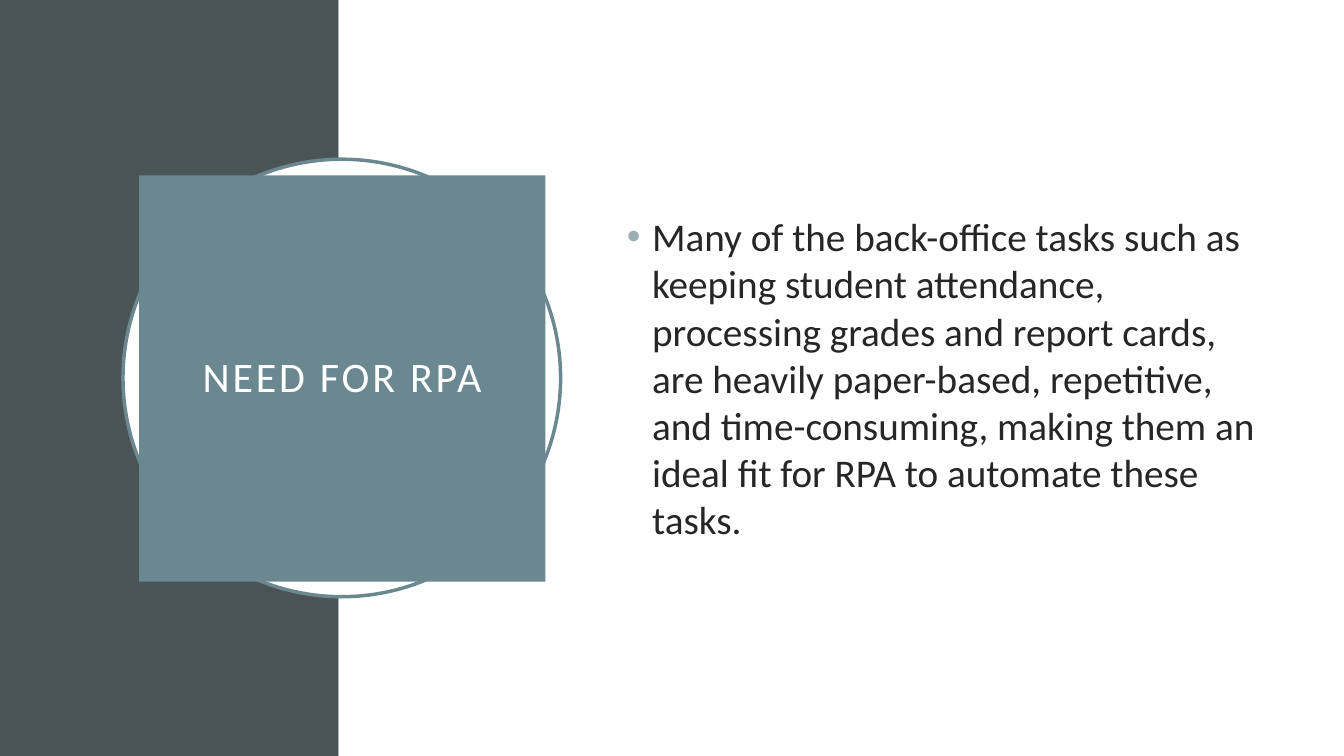
from dataclasses import dataclass

from lxml.etree import SubElement
from pptx import Presentation
from pptx.dml.color import RGBColor
from pptx.enum.shapes import MSO_SHAPE
from pptx.enum.text import MSO_ANCHOR, PP_ALIGN
from pptx.oxml.ns import qn
from pptx.util import Inches, Pt


@dataclass(frozen=True)
class Theme:
    """Colours, font and type sizes of the slide."""
    slate: str = "4A5356"
    teal: str = "6B8891"
    white: str = "FFFFFF"
    ink: str = "262626"
    bullet: str = "9BAFB5"
    font: str = "Calibri"
    title_size: int = 30
    body_size: int = 28


THEME = Theme()
TITLE = "NEED FOR RPA"
REASON = (
    "Many of the back-office tasks such as keeping student attendance, "
    "processing grades and report cards, are heavily paper-based, repetitive, "
    "and time-consuming, making them an ideal fit for RPA to automate these tasks."
)


def add_panel(slide, kind, box, fill, outline=None):
    """Add a filled preset shape, outlined if a colour is given."""
    panel = slide.shapes.add_shape(kind, *map(Inches, box))
    panel.shadow.inherit = False
    panel.fill.solid()
    panel.fill.fore_color.rgb = RGBColor.from_string(fill)
    if outline:
        panel.line.color.rgb = RGBColor.from_string(outline)
        panel.line.width = Pt(2.5)
    else:
        panel.line.fill.background()
    return panel


def write_text(frame, text, size, color):
    """Fill a frame with one middle-anchored paragraph and return it."""
    frame.word_wrap = True
    frame.vertical_anchor = MSO_ANCHOR.MIDDLE
    paragraph = frame.paragraphs[0]
    paragraph.text = text
    font = paragraph.runs[0].font
    font.name = THEME.font
    font.size = Pt(size)
    font.color.rgb = RGBColor.from_string(color)
    return paragraph


def add_title(slide, box, text):
    """Add the teal title block with letterspaced, centred text."""
    block = add_panel(slide, MSO_SHAPE.RECTANGLE, box, THEME.teal)
    frame = block.text_frame
    frame.margin_left = frame.margin_right = Inches(0.2)
    frame.margin_top = frame.margin_bottom = Inches(0.2)
    heading = write_text(frame, text, THEME.title_size, THEME.white)
    heading.alignment = PP_ALIGN.CENTER
    heading.line_spacing = 0.9
    heading.runs[0].font._element.set("spc", "200")


def add_bullet(slide, box, text):
    """Add a text box holding one bulleted paragraph."""
    frame = slide.shapes.add_textbox(*map(Inches, box)).text_frame
    reason = write_text(frame, text, THEME.body_size, THEME.ink)
    reason.alignment = PP_ALIGN.LEFT
    reason.space_before = Pt(10)
    properties = reason._p.get_or_add_pPr()
    properties.set("marL", str(Inches(0.25)))
    properties.set("indent", str(Inches(-0.25)))
    bullet_color = SubElement(properties, qn("a:buClr"))
    SubElement(bullet_color, qn("a:srgbClr"), val=THEME.bullet)
    SubElement(properties, qn("a:buFont"), typeface="Arial")
    SubElement(properties, qn("a:buChar"), char="•")


def main():
    """Build and save the slide."""
    deck = Presentation()
    deck.slide_width, deck.slide_height = Inches(13.33), Inches(7.5)
    slide = deck.slides.add_slide(deck.slide_layouts[6])
    add_panel(slide, MSO_SHAPE.RECTANGLE, (0, 0, 3.36, 7.5), THEME.slate)
    add_panel(slide, MSO_SHAPE.RECTANGLE, (3.36, 0, 9.97, 7.5), THEME.white)
    add_panel(slide, MSO_SHAPE.OVAL, (1.22, 1.58, 4.34, 4.34), THEME.white, THEME.teal)
    add_title(slide, (1.38, 1.74, 4.03, 4.03), TITLE)
    add_bullet(slide, (6.12, 1.53, 6.49, 4.43), REASON)
    deck.save("out.pptx")


if __name__ == "__main__":
    main()
